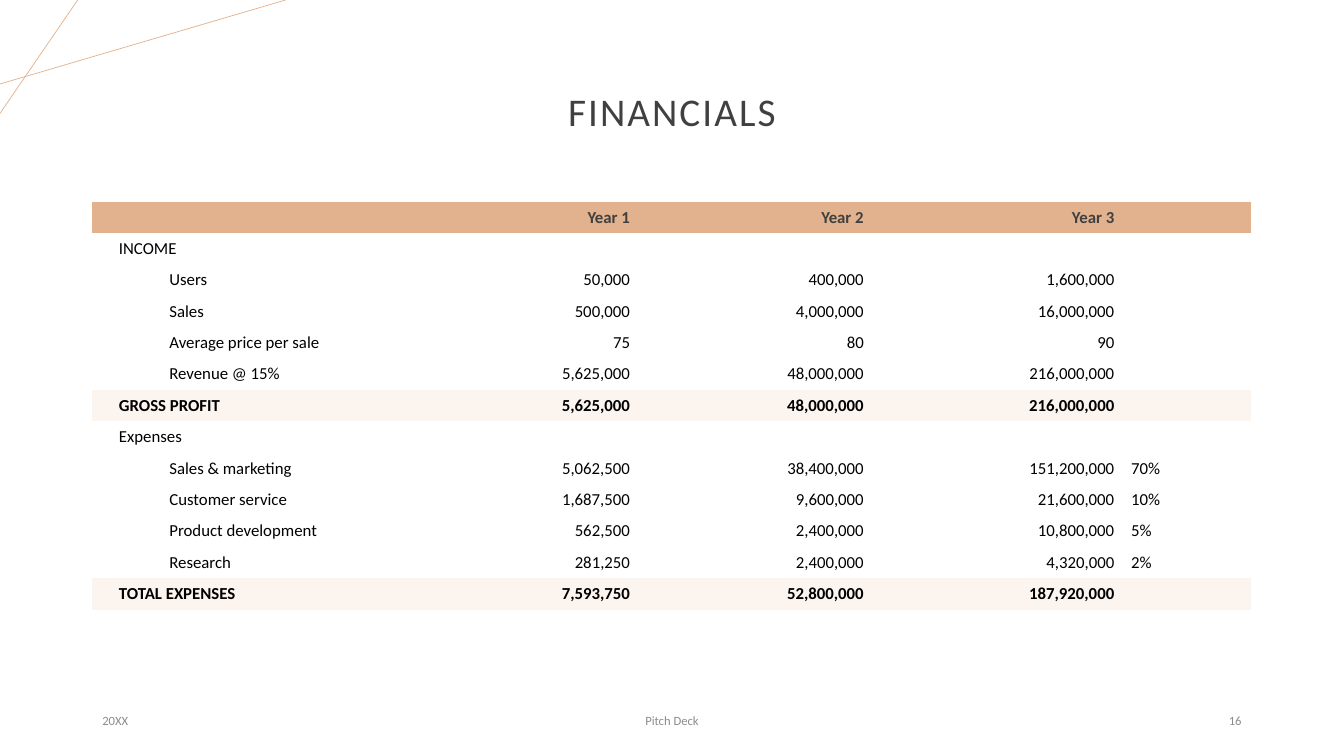
"""Build the Financials slide with its three-year income and expense table."""
from dataclasses import dataclass

from lxml import etree
from pptx import Presentation
from pptx.dml.color import RGBColor
from pptx.enum.text import MSO_ANCHOR, PP_ALIGN
from pptx.enum.shapes import MSO_CONNECTOR
from pptx.oxml.ns import qn
from pptx.util import Pt

LEFT, CENTER, RIGHT = PP_ALIGN.LEFT, PP_ALIGN.CENTER, PP_ALIGN.RIGHT
MIDDLE = MSO_ANCHOR.MIDDLE
STRAIGHT = MSO_CONNECTOR.STRAIGHT

FONT = "Calibri"
PEACH, PALE, INK, BLACK, GRAY = "E2B18D", "FBF4EF", "404040", "000000", "8C8C8C"
NO_STYLE_NO_GRID = "{2D5ABB26-0587-4C30-8999-92F81FD0307C}"
TABLE_LEFT, TABLE_TOP, ROW_HEIGHT = 66, 144, 22.43
COLUMN_WIDTHS = (254.7, 135.3, 167, 179, 92)
BODY_SIZE, INDENT = 12, 36


@dataclass
class Line:
    """A decorative line between two points."""
    x1: float
    y1: float
    x2: float
    y2: float


@dataclass
class Label:
    """A text box with its place and format."""
    text: str
    left: float
    top: float
    width: float
    height: float
    align: PP_ALIGN
    size: float = 9
    color: str = GRAY
    letter_spacing: float = 0
    line_spacing: float = 1


@dataclass
class Row:
    """A table row with its label, figures and emphasis."""
    label: str
    figures: tuple[str, ...] = ()
    indented: bool = False
    bold: bool = False
    fill: str | None = None
    color: str = BLACK


CORNER_LINES = (Line(0, 60, 204, 0), Line(55.5, 0, 0, 81))

LABELS = (
    Label("FINANCIALS", 66, 28.8, 828, 104.4, CENTER, 28, INK, 1.5, 0.9),
    Label("20XX", 66, 500.4, 216, 28.8, LEFT),
    Label("Pitch Deck", 318, 500.4, 324, 28.8, CENTER),
    Label("16", 678, 500.4, 216, 28.8, RIGHT),
)


def item(label: str, *figures: str) -> Row:
    """Return an indented detail row."""
    return Row(label, figures, indented=True)


def total(label: str, *figures: str) -> Row:
    """Return a highlighted total row."""
    return Row(label, figures, bold=True, fill=PALE)


ROWS = (
    Row("", ("Year 1", "Year 2", "Year 3"), bold=True, fill=PEACH, color=INK),
    Row("INCOME"),
    item("Users", "50,000", "400,000", "1,600,000"),
    item("Sales", "500,000", "4,000,000", "16,000,000"),
    item("Average price per sale", "75", "80", "90"),
    item("Revenue @ 15%", "5,625,000", "48,000,000", "216,000,000"),
    total("GROSS PROFIT", "5,625,000", "48,000,000", "216,000,000"),
    Row("Expenses"),
    item("Sales & marketing", "5,062,500", "38,400,000", "151,200,000", "70%"),
    item("Customer service", "1,687,500", "9,600,000", "21,600,000", "10%"),
    item("Product development", "562,500", "2,400,000", "10,800,000", "5%"),
    item("Research", "281,250", "2,400,000", "4,320,000", "2%"),
    total("TOTAL EXPENSES", "7,593,750", "52,800,000", "187,920,000"),
)


def rgb(color: str) -> RGBColor:
    """Turn a hex string into a colour."""
    return RGBColor.from_string(color)


def write(frame, text: str, *, size: float, color: str, align: PP_ALIGN = LEFT,
          bold: bool = False, indent: float = 0, letter_spacing: float = 0,
          line_spacing: float = 1) -> None:
    """Write one formatted paragraph into a text frame."""
    paragraph = frame.paragraphs[0]
    paragraph.alignment = align
    paragraph.line_spacing = line_spacing
    if indent:
        paragraph.level = 1
        properties = paragraph._p.get_or_add_pPr()
        properties.set("marL", str(Pt(indent)))
        properties.set("indent", "0")
    if not text:
        end = etree.SubElement(paragraph._p, qn("a:endParaRPr"))
        end.set("sz", str(size * 100))
        return
    run = paragraph.add_run()
    run.text = text
    run.font.name = FONT
    run.font.size = Pt(size)
    run.font.bold = bold
    run.font.color.rgb = rgb(color)
    if letter_spacing:
        run._r.get_or_add_rPr().set("spc", str(int(letter_spacing * 100)))


def draw_line(slide, line: Line) -> None:
    """Draw a thin decorative line."""
    connector = slide.shapes.add_connector(
        STRAIGHT, Pt(line.x1), Pt(line.y1), Pt(line.x2), Pt(line.y2))
    connector.line.color.rgb = rgb(PEACH)
    connector.line.width = Pt(0.5)
    etree.SubElement(connector._element.spPr, qn("a:effectLst"))


def draw_label(slide, label: Label) -> None:
    """Draw a text box."""
    frame = slide.shapes.add_textbox(
        Pt(label.left), Pt(label.top), Pt(label.width), Pt(label.height)).text_frame
    frame.word_wrap = True
    frame.vertical_anchor = MIDDLE
    write(frame, label.text, size=label.size, color=label.color, align=label.align,
          letter_spacing=label.letter_spacing, line_spacing=label.line_spacing)


def draw_table(slide, rows: tuple[Row, ...]) -> None:
    """Draw the financial table."""
    holder = slide.shapes.add_table(
        len(rows), len(COLUMN_WIDTHS), Pt(TABLE_LEFT), Pt(TABLE_TOP),
        Pt(sum(COLUMN_WIDTHS)), Pt(ROW_HEIGHT * len(rows)))
    holder._element.find(".//" + qn("a:tableStyleId")).text = NO_STYLE_NO_GRID
    table = holder.table
    table.horz_banding = False
    for column, width in zip(table.columns, COLUMN_WIDTHS):
        column.width = Pt(width)
    last = len(COLUMN_WIDTHS) - 1
    for table_row, row in zip(table.rows, rows):
        table_row.height = Pt(ROW_HEIGHT)
        texts = (row.label, *row.figures)
        for index, cell in enumerate(table_row.cells):
            cell.vertical_anchor = MIDDLE
            cell.margin_left = Pt(6 if index else 19)
            cell.margin_right = Pt(6)
            cell.margin_top = cell.margin_bottom = Pt(3)
            if row.fill:
                cell.fill.solid()
                cell.fill.fore_color.rgb = rgb(row.fill)
            else:
                cell.fill.background()
            write(cell.text_frame, texts[index] if index < len(texts) else "",
                  size=BODY_SIZE, color=row.color, bold=row.bold,
                  align=RIGHT if 0 < index < last else LEFT,
                  indent=INDENT if row.indented and index == 0 else 0)


def main() -> None:
    """Build and save the slide."""
    deck = Presentation()
    deck.slide_width, deck.slide_height = Pt(960), Pt(540)
    slide = deck.slides.add_slide(deck.slide_layouts[6])
    for line in CORNER_LINES:
        draw_line(slide, line)
    for label in LABELS:
        draw_label(slide, label)
    draw_table(slide, ROWS)
    deck.save("out.pptx")


if __name__ == "__main__":
    main()
